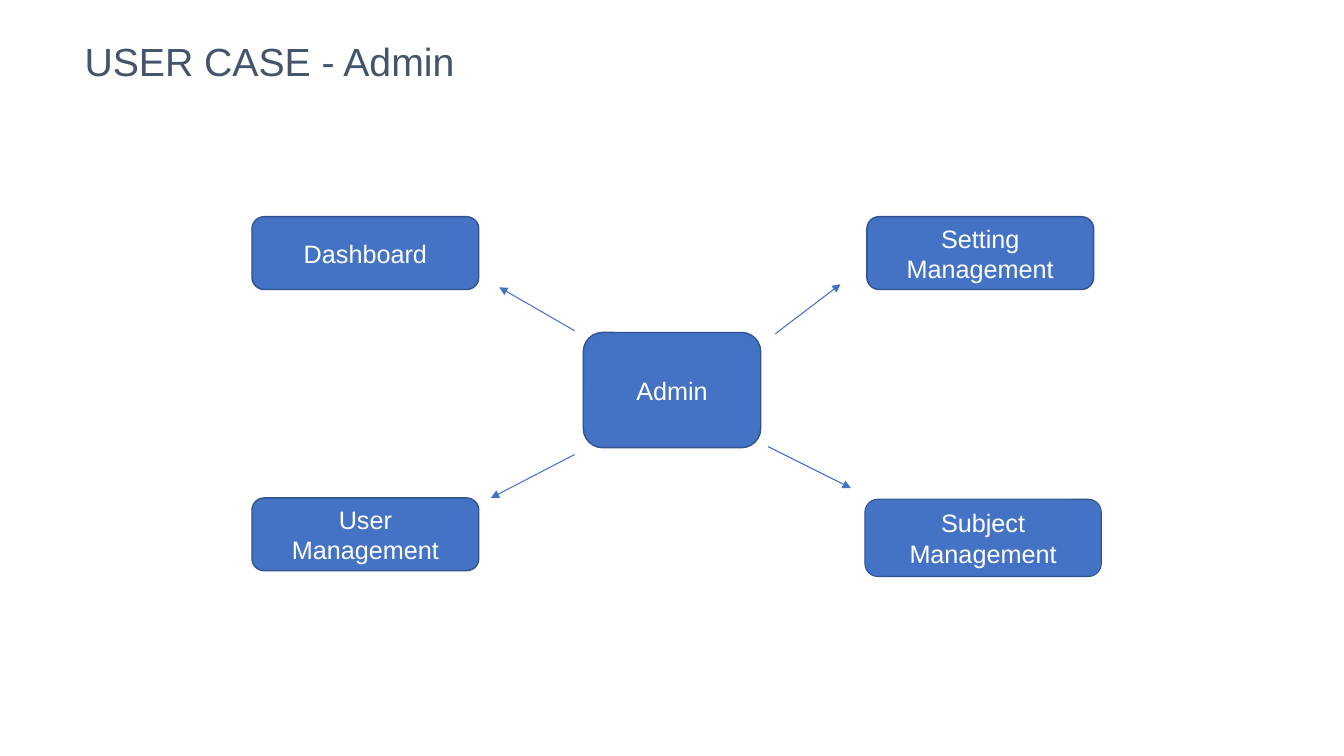
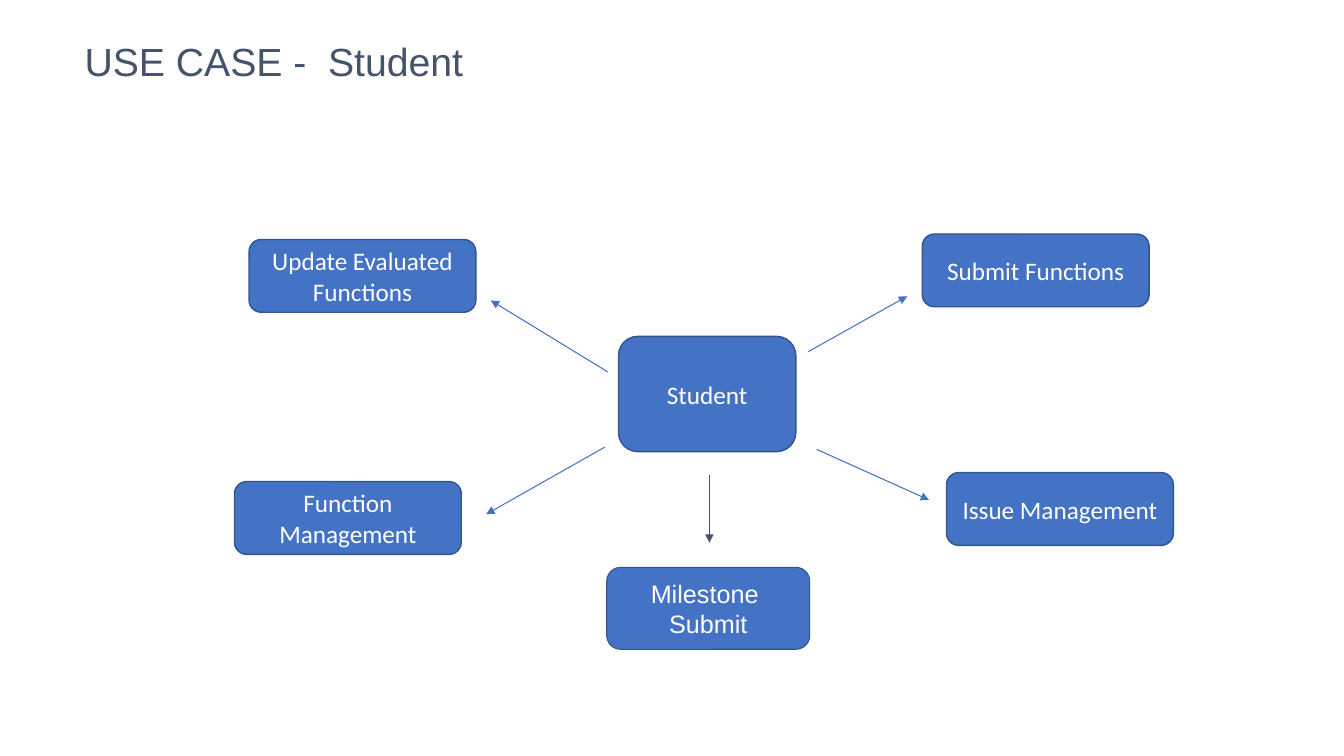
"""Build two use case diagrams, one for the admin and one for the student."""
from dataclasses import dataclass

from lxml import etree
from pptx import Presentation
from pptx.dml import color as dml
from pptx.enum import shapes, text
from pptx.oxml import ns
from pptx.util import Pt

COLORS = {"title": "44546A", "box": "4472C4", "outline": "31538F", "label": "FFFFFF"}
TITLE_FONT = "Arial"
LEAF_SIZE = (162, 52)
HUB_SIZE = (126.7, 82.3)
SIDE_INSET = 7.2
THIN_INSET = 3.6


@dataclass(frozen=True)
class Box:
    """A rounded box; newlines in its label part paragraphs, vertical tabs part lines."""

    label: str
    left: float
    top: float
    size: tuple[float, float] = LEAF_SIZE
    font: str = "Arial"
    outline: float = 1
    inset: float = THIN_INSET


@dataclass(frozen=True)
class Arrow:
    """An arrow with its head at the end point."""

    start: tuple[float, float]
    end: tuple[float, float]
    color: str = "box"


@dataclass(frozen=True)
class Diagram:
    """A slide with a title, boxes and arrows."""

    title: str
    title_width: float
    boxes: tuple[Box, ...]
    arrows: tuple[Arrow, ...]


DIAGRAMS = (
    Diagram(
        "USER CASE - Admin",
        289.4,
        (
            Box("Dashboard", 180, 154.8),
            Box("Setting\nManagement", 619.2, 154.8),
            Box("Admin", 416.7, 237.5, HUB_SIZE),
            Box("User Management", 180, 355.7),
            Box("Subject Management", 617.8, 356.6, (168.8, 55.2), outline=0.75, inset=SIDE_INSET),
        ),
        (
            Arrow((410.4, 236.2), (356.6, 205.2)),
            Arrow((553.8, 238.4), (600.4, 203)),
            Arrow((410.4, 324.7), (350.6, 355.7)),
            Arrow((548.6, 319), (607.8, 348.6)),
        ),
    ),
    Diagram(
        "USE CASE -  Student",
        421.2,
        (
            Box("Update Evaluated Functions", 177.9, 171.1, font="Calibri"),
            Box("Submit Functions", 658.8, 167.2, font="Calibri"),
            Box("Student", 441.8, 240.3, HUB_SIZE, "Calibri"),
            Box("Function Management", 167.5, 344, font="Calibri"),
            Box("Issue Management", 676.1, 337.6, font="Calibri"),
            Box("Milestone \vSubmit", 433.4, 405.3, (145, 58.5), outline=0.75, inset=SIDE_INSET),
        ),
        (
            Arrow((434.2, 265.7), (350.6, 214.6)),
            Arrow((577.4, 251.2), (648, 211.6)),
            Arrow((432, 319.4), (347.3, 367.3)),
            Arrow((583.4, 321), (663.6, 357.1)),
            Arrow((506.8, 339.5), (506.8, 387.7), "title"),
        ),
    ),
)


def rgb(name: str) -> dml.RGBColor:
    """Return a named color."""
    return dml.RGBColor.from_string(COLORS[name])


def add_run(paragraph, words: str, font: str, size: float, color: str) -> None:
    """Add one styled run to a paragraph."""
    run = paragraph.add_run()
    run.text = words
    run.font.name = font
    run.font.size = Pt(size)
    run.font.color.rgb = rgb(color)


def set_frame(frame, inset: float) -> None:
    """Set wrapping, middle anchoring and margins of a text frame."""
    frame.word_wrap = True
    frame.vertical_anchor = text.MSO_ANCHOR.MIDDLE
    frame.margin_left = frame.margin_right = Pt(SIDE_INSET)
    frame.margin_top = frame.margin_bottom = Pt(inset)


def add_title(slide, words: str, width: float) -> None:
    """Add the slide title."""
    frame = slide.shapes.add_textbox(Pt(53.3), Pt(28.8), Pt(width), Pt(33.8)).text_frame
    set_frame(frame, THIN_INSET)
    paragraph = frame.paragraphs[0]
    paragraph.line_spacing = 0.9
    add_run(paragraph, words, TITLE_FONT, 28, "title")


def add_box(slide, box: Box) -> None:
    """Add a rounded box with a centred label."""
    shape = slide.shapes.add_shape(
        shapes.MSO_SHAPE.ROUNDED_RECTANGLE, Pt(box.left), Pt(box.top), *map(Pt, box.size)
    )
    shape.shadow.inherit = False
    shape.fill.solid()
    shape.fill.fore_color.rgb = rgb("box")
    shape.line.color.rgb = rgb("outline")
    shape.line.width = Pt(box.outline)
    frame = shape.text_frame
    set_frame(frame, box.inset)
    for index, block in enumerate(box.label.split("\n")):
        paragraph = frame.add_paragraph() if index else frame.paragraphs[0]
        paragraph.alignment = text.PP_ALIGN.CENTER
        for row, words in enumerate(block.split("\v")):
            if row:
                paragraph.add_line_break()
            add_run(paragraph, words, box.font, 18, "label")


def add_arrow(slide, arrow: Arrow) -> None:
    """Add a straight line with a triangular head."""
    connector = slide.shapes.add_connector(
        shapes.MSO_CONNECTOR.STRAIGHT, *map(Pt, arrow.start + arrow.end)
    )
    connector.line.color.rgb = rgb(arrow.color)
    connector.line.width = Pt(0.75)
    properties = connector._element.spPr
    outline = properties.find(ns.qn("a:ln"))
    etree.SubElement(outline, ns.qn("a:tailEnd"), type="triangle")
    etree.SubElement(properties, ns.qn("a:effectLst"))


def main() -> None:
    """Draw every diagram and save the presentation."""
    presentation = Presentation()
    presentation.slide_width, presentation.slide_height = Pt(960), Pt(540)
    for diagram in DIAGRAMS:
        slide = presentation.slides.add_slide(presentation.slide_layouts[6])
        add_title(slide, diagram.title, diagram.title_width)
        for box in diagram.boxes:
            add_box(slide, box)
        for arrow in diagram.arrows:
            add_arrow(slide, arrow)
    presentation.save("out.pptx")


if __name__ == "__main__":
    main()
